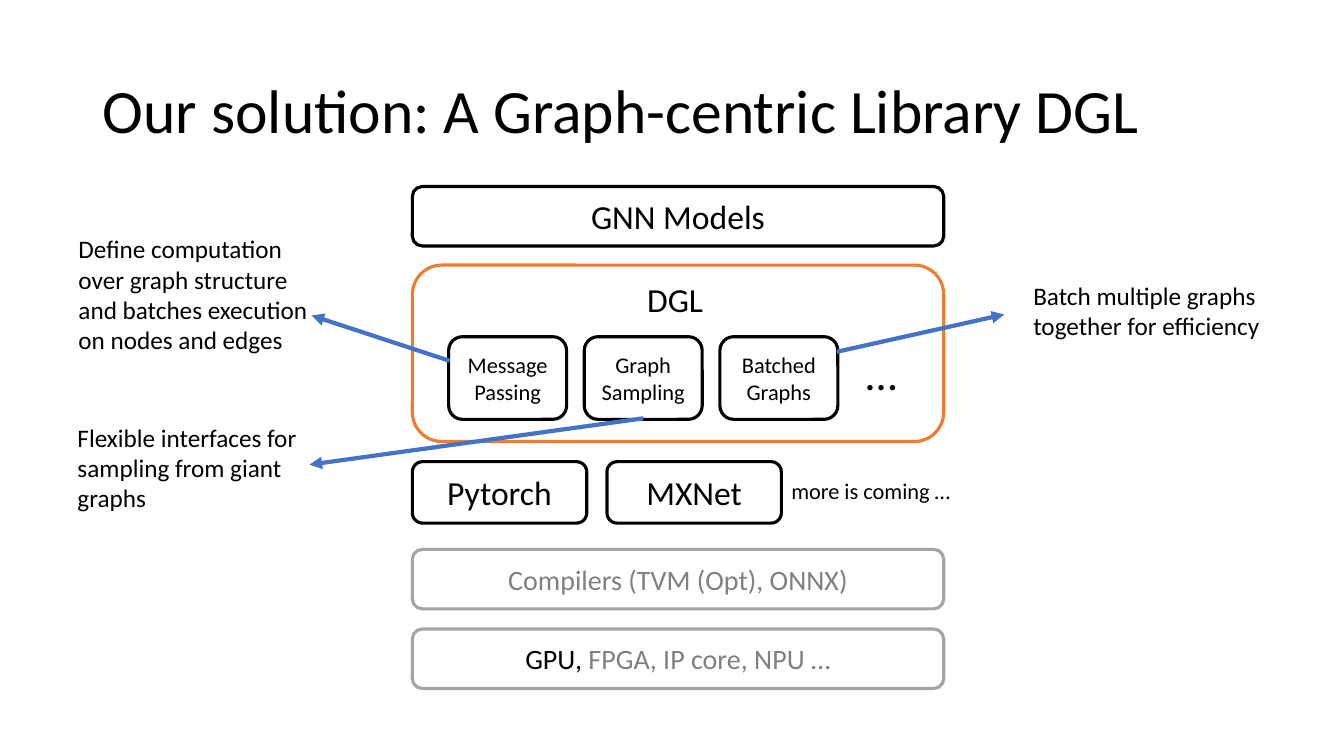
from lxml import etree
from pptx import Presentation
from pptx.dml.color import RGBColor
from pptx.enum.shapes import MSO_CONNECTOR, MSO_SHAPE
from pptx.enum.text import MSO_ANCHOR, PP_ALIGN
from pptx.oxml.ns import qn
from pptx.util import Inches, Pt

ROUNDED = MSO_SHAPE.ROUNDED_RECTANGLE
STRAIGHT = MSO_CONNECTOR.STRAIGHT
MIDDLE, TOP = MSO_ANCHOR.MIDDLE, MSO_ANCHOR.TOP
LEFT, CENTER = PP_ALIGN.LEFT, PP_ALIGN.CENTER

BLACK = RGBColor(0, 0, 0)
WHITE = RGBColor(255, 255, 255)
ORANGE = RGBColor(0xED, 0x7D, 0x31)
BLUE = RGBColor(0x44, 0x72, 0xC4)
SILVER = RGBColor(0xA5, 0xA5, 0xA5)
GRAY = RGBColor(0x80, 0x80, 0x80)
FONT = "Calibri"

STACK_LEFT, STACK_WIDTH = 4.09, 5.27
LAYER_HEIGHT = 0.59
NOTE_WIDTH = 2.61


def write(shape, runs, size, align=LEFT, anchor=TOP, wrap=True):
    """Fill a shape with one paragraph of (text, colour) runs."""
    frame = shape.text_frame
    frame.word_wrap = wrap
    frame.vertical_anchor = anchor
    paragraph = frame.paragraphs[0]
    paragraph.alignment = align
    for text, color in runs:
        run = paragraph.add_run()
        run.text = text
        run.font.name = FONT
        run.font.size = Pt(size)
        run.font.color.rgb = color
    return paragraph


def add_box(slide, box, runs, size=24, outline=BLACK):
    """Draw a white rounded box with a coloured outline and centred text."""
    shape = slide.shapes.add_shape(ROUNDED, *map(Inches, box))
    shape.shadow.inherit = False
    shape.fill.solid()
    shape.fill.fore_color.rgb = WHITE
    shape.line.color.rgb = outline
    shape.line.width = Pt(2.25)
    if runs:
        write(shape, runs, size, CENTER, MIDDLE)


def add_label(slide, box, text, size, wrap=True):
    """Place a plain black text box."""
    label = slide.shapes.add_textbox(*map(Inches, box))
    write(label, [(text, BLACK)], size, wrap=wrap)


def add_arrow(slide, start, end):
    """Draw a blue arrow from start to end."""
    arrow = slide.shapes.add_connector(STRAIGHT, *map(Inches, start + end))
    arrow.line.color.rgb = BLUE
    arrow.line.width = Pt(3)
    line = arrow.line._get_or_add_ln()
    etree.SubElement(line, qn("a:tailEnd"), type="triangle")
    etree.SubElement(arrow._element.spPr, qn("a:effectLst"))


def add_title(slide, box, text):
    """Set the slide title in its placeholder."""
    title = slide.shapes.title
    title.left, title.top, title.width, title.height = map(Inches, box)
    write(title, [(text, BLACK)], 44, anchor=MIDDLE).line_spacing = 0.9


def add_library(slide, box):
    """Draw the DGL layer with its row of components."""
    left, top, width, height = box
    add_box(slide, box, [], outline=ORANGE)
    add_label(slide, (left + 2.23, top + 0.09, 0.76, 0.5), "DGL", 24, wrap=False)
    components = ["Message Passing", "Graph Sampling", "Batched Graphs"]
    pitch = 1.345
    for column, name in enumerate(components):
        place = (left + 0.36 + column * pitch, top + 0.71, 1.17, 0.82)
        add_box(slide, place, [(name, BLACK)], 16)
    add_label(slide, (left + 4.4, top + 0.75, 0.51, 0.64), "…", 32, wrap=False)


def add_backends(slide, box):
    """Draw the row of supported frameworks."""
    left, top, width, height = box
    for column, name in enumerate(["Pytorch", "MXNet"]):
        place = (left + column * 1.93, top, 1.73, height)
        add_box(slide, place, [(name, BLACK)])
    add_label(slide, (left + 3.66, top + 0.1, 2.04, 0.37), "more is coming …", 16)


def add_foundation(slide, box):
    """Draw the gray compiler and hardware layers."""
    left, top, width, height = box
    layers = [
        [("Compilers (TVM (Opt), ONNX)", GRAY)],
        [("GPU, ", BLACK), ("FPGA, IP core, NPU …", GRAY)],
    ]
    pitch = height - LAYER_HEIGHT
    for row, runs in enumerate(layers):
        place = (left, top + row * pitch, width, LAYER_HEIGHT)
        add_box(slide, place, runs, 20, SILVER)


def add_notes(slide):
    """Add the explanations and the arrows that lead to them."""
    notes = [
        ("Define computation over graph structure and batches execution "
         "on nodes and edges", (0.68, 2.27), 1.31, (4.46, 3.58), (3.09, 3.13)),
        ("Batch multiple graphs together for efficiency",
         (10.15, 2.73), 0.71, (8.3, 3.49), (9.96, 3.12)),
        ("Flexible interfaces for sampling from giant graphs",
         (0.67, 4.14), 1.01, (6.38, 4.15), (3.07, 4.61)),
    ]
    for text, corner, height, start, end in notes:
        add_arrow(slide, start, end)
        add_label(slide, corner + (NOTE_WIDTH, height), text, 18)


def main():
    """Build and save the presentation."""
    presentation = Presentation()
    presentation.slide_width = Inches(13.33)
    presentation.slide_height = Inches(7.5)
    slide = presentation.slides.add_slide(presentation.slide_layouts[5])
    add_title(slide, (0.92, 0.4, 11.5, 1.45),
              "Our solution: A Graph-centric Library DGL")
    add_box(slide, (STACK_LEFT, 1.85, STACK_WIDTH, LAYER_HEIGHT),
            [("GNN Models", BLACK)])
    add_library(slide, (STACK_LEFT, 2.63, STACK_WIDTH, 1.75))
    add_backends(slide, (STACK_LEFT, 4.58, STACK_WIDTH, 0.61))
    add_foundation(slide, (STACK_LEFT, 5.45, STACK_WIDTH, 1.38))
    add_notes(slide)
    presentation.save("out.pptx")


if __name__ == "__main__":
    main()
